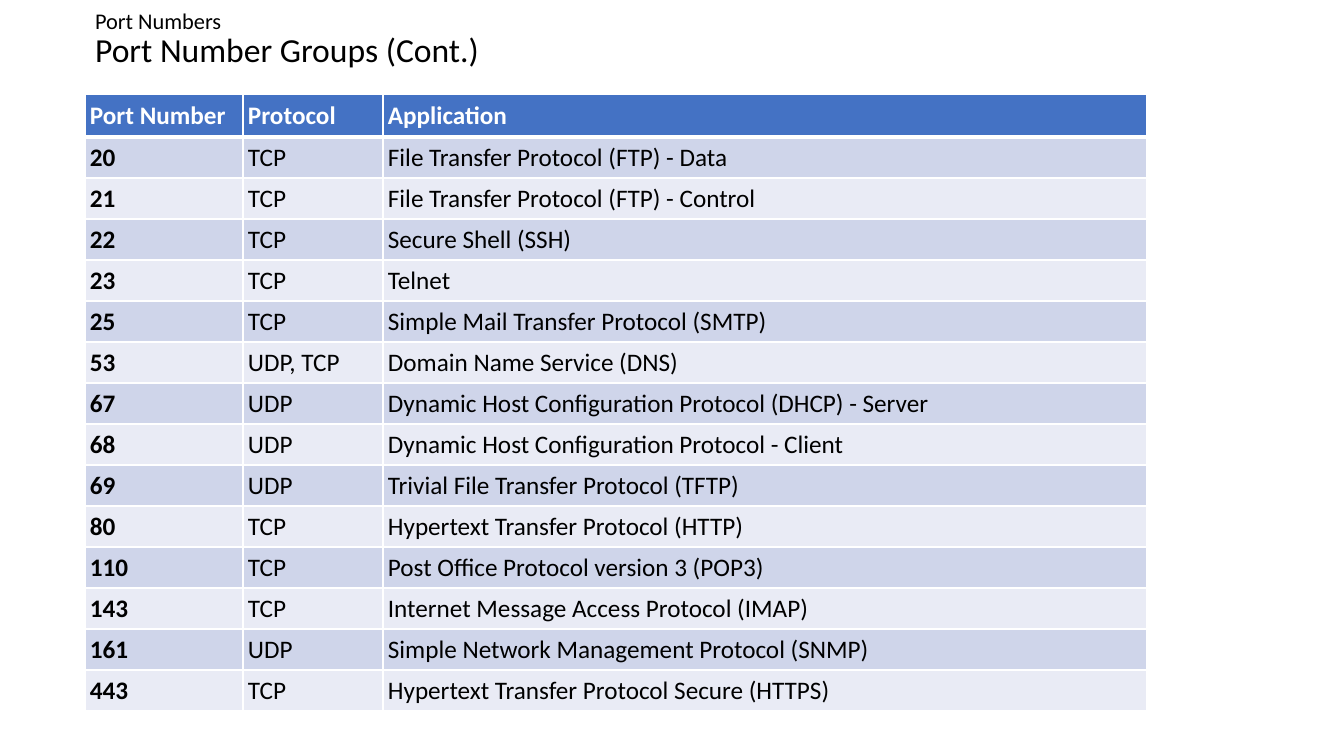
import pptx
import pptx.dml.color
import pptx.enum.text
import pptx.oxml
import pptx.oxml.ns
import pptx.util

# Content
TOPIC = "Port Numbers"
HEADING = "Port Number Groups (Cont.)"
HEADER = ("Port Number", "Protocol", "Application")
PORTS = [
    ("20", "TCP", "File Transfer Protocol (FTP) - Data"),
    ("21", "TCP", "File Transfer Protocol (FTP) - Control"),
    ("22", "TCP", "Secure Shell (SSH)"),
    ("23", "TCP", "Telnet"),
    ("25", "TCP", "Simple Mail Transfer Protocol (SMTP)"),
    ("53", "UDP, TCP", "Domain Name Service (DNS)"),
    ("67", "UDP", "Dynamic Host Configuration Protocol (DHCP) - Server"),
    ("68", "UDP", "Dynamic Host Configuration Protocol - Client"),
    ("69", "UDP", "Trivial File Transfer Protocol (TFTP)"),
    ("80", "TCP", "Hypertext Transfer Protocol (HTTP)"),
    ("110", "TCP", "Post Office Protocol version 3 (POP3)"),
    ("143", "TCP", "Internet Message Access Protocol (IMAP)"),
    ("161", "UDP", "Simple Network Management Protocol (SNMP)"),
    ("443", "TCP", "Hypertext Transfer Protocol Secure (HTTPS)"),
]

# Layout in px, colours and font
SLIDE_SIZE = (1344, 756)
TITLE_BOX = (85, 0, 1048, 80)
TABLE_LEFT, TABLE_TOP = 85, 94
COLUMN_WIDTHS = (158, 140, 764)
HEADER_HEIGHT, ROW_HEIGHT, CELL_INSET = 43, 41, 5
COLORS = {"header": "4472C4", "odd": "CFD5EA", "even": "E9EBF5",
          "rule": "FFFFFF", "header_text": "FFFFFF", "text": "000000"}
FONT = "Calibri"


def px(length):
    return pptx.util.Emu(round(length * 914400 / 100.8))


def rgb(name):
    return pptx.dml.color.RGBColor.from_string(COLORS[name])


def style_font(font, size, color, bold=False):
    font.name, font.size, font.bold = FONT, pptx.util.Pt(size), bold
    font.color.rgb = rgb(color)


def add_borders(cell, bottom_width):
    properties = cell._tc.get_or_add_tcPr()
    widths = {"lnL": 1, "lnR": 1, "lnT": 1, "lnB": bottom_width}
    for position, (side, width) in enumerate(widths.items()):
        properties.insert(position, pptx.oxml.parse_xml(
            f'<a:{side} {pptx.oxml.ns.nsdecls("a")} w="{pptx.util.Pt(width)}">'
            f'<a:solidFill><a:srgbClr val="{COLORS["rule"]}"/></a:solidFill></a:{side}>'))


def add_title(slide):
    title = slide.shapes.title
    title.left, title.top, title.width, title.height = map(px, TITLE_BOX)
    frame = title.text_frame
    frame.auto_size = pptx.enum.text.MSO_AUTO_SIZE.NONE
    frame.vertical_anchor = pptx.enum.text.MSO_ANCHOR.MIDDLE
    lines = frame.paragraphs[0]
    lines.alignment = pptx.enum.text.PP_ALIGN.LEFT
    lines.line_spacing = 0.9
    style_font(lines.font, 16, "text")
    topic = lines.add_run()
    topic.text = TOPIC
    topic.font.size = pptx.util.Pt(16)
    lines.add_line_break()
    heading = lines.add_run()
    heading.text = HEADING
    heading.font.size = pptx.util.Pt(24)


def add_port_table(slide):
    rows = [HEADER, *PORTS]
    height = HEADER_HEIGHT + ROW_HEIGHT * len(PORTS)
    table = slide.shapes.add_table(
        len(rows), len(HEADER), px(TABLE_LEFT), px(TABLE_TOP),
        px(sum(COLUMN_WIDTHS)), px(height)).table
    for column, width in zip(table.columns, COLUMN_WIDTHS):
        column.width = px(width)
    for r, values in enumerate(rows):
        is_header = r == 0
        table.rows[r].height = px(HEADER_HEIGHT if is_header else ROW_HEIGHT)
        band = "header" if is_header else "odd" if r % 2 else "even"
        for c, value in enumerate(values):
            cell = table.cell(r, c)
            cell.text = value
            cell.vertical_anchor = pptx.enum.text.MSO_ANCHOR.MIDDLE
            cell.margin_left = cell.margin_right = px(CELL_INSET)
            cell.margin_top = cell.margin_bottom = px(CELL_INSET)
            cell.fill.solid()
            cell.fill.fore_color.rgb = rgb(band)
            add_borders(cell, 3 if is_header else 1)
            style_font(cell.text_frame.paragraphs[0].font, 18,
                       "header_text" if is_header else "text",
                       bold=is_header or c == 0)


def main():
    deck = pptx.Presentation()
    deck.slide_width, deck.slide_height = map(px, SLIDE_SIZE)
    slide = deck.slides.add_slide(deck.slide_layouts[5])  # title only
    add_title(slide)
    add_port_table(slide)
    deck.save("out.pptx")


if __name__ == "__main__":
    main()
